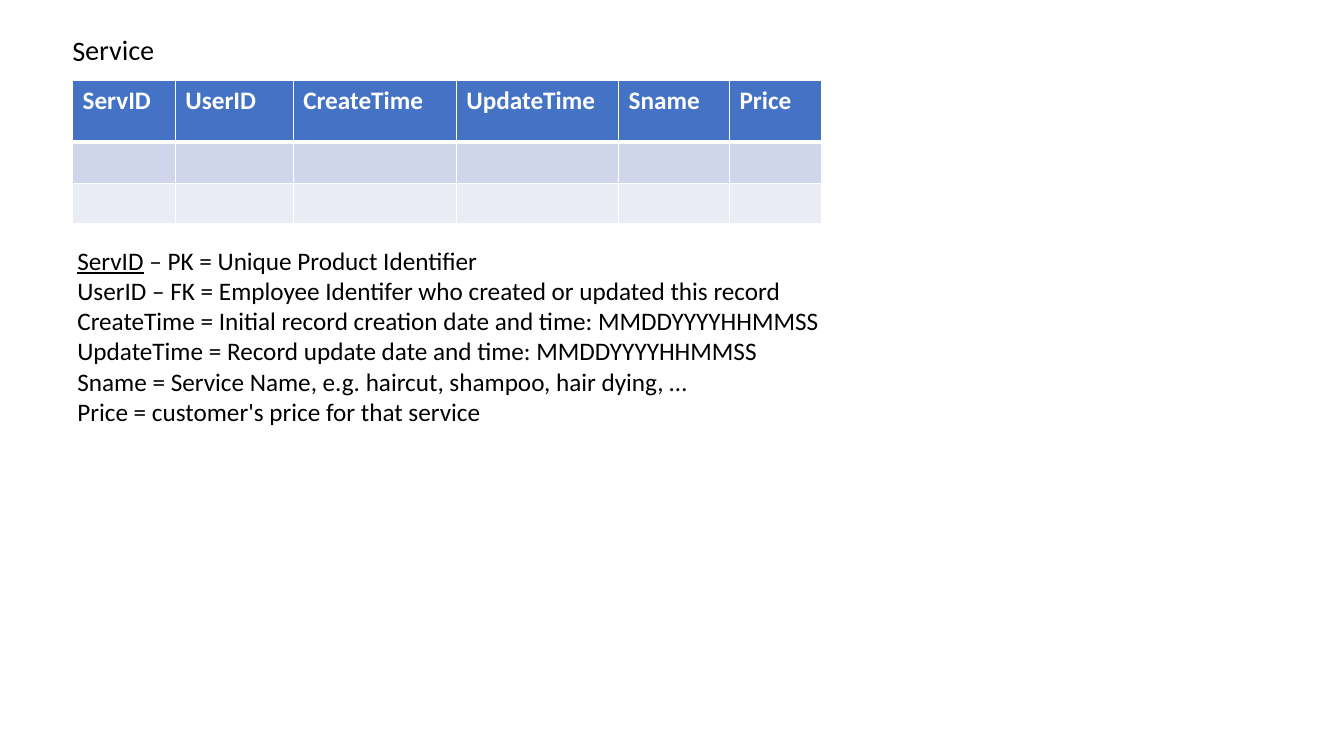
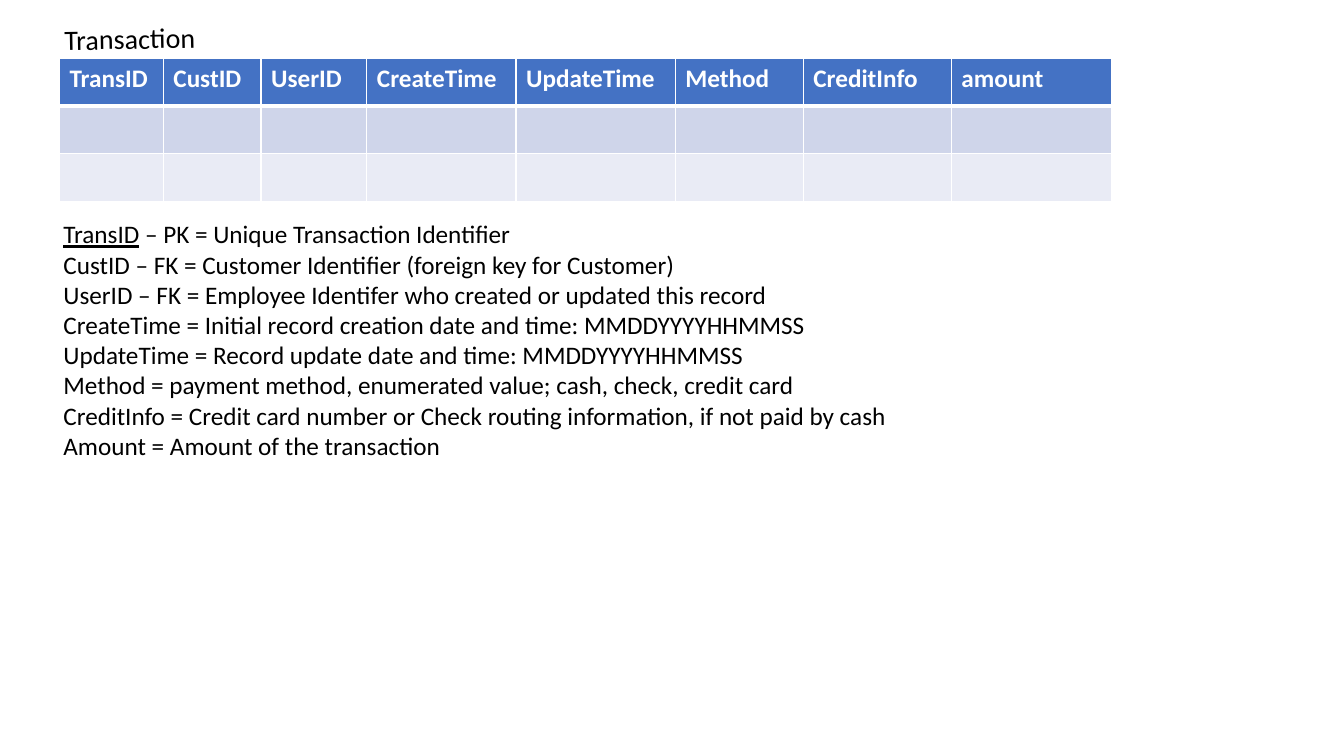
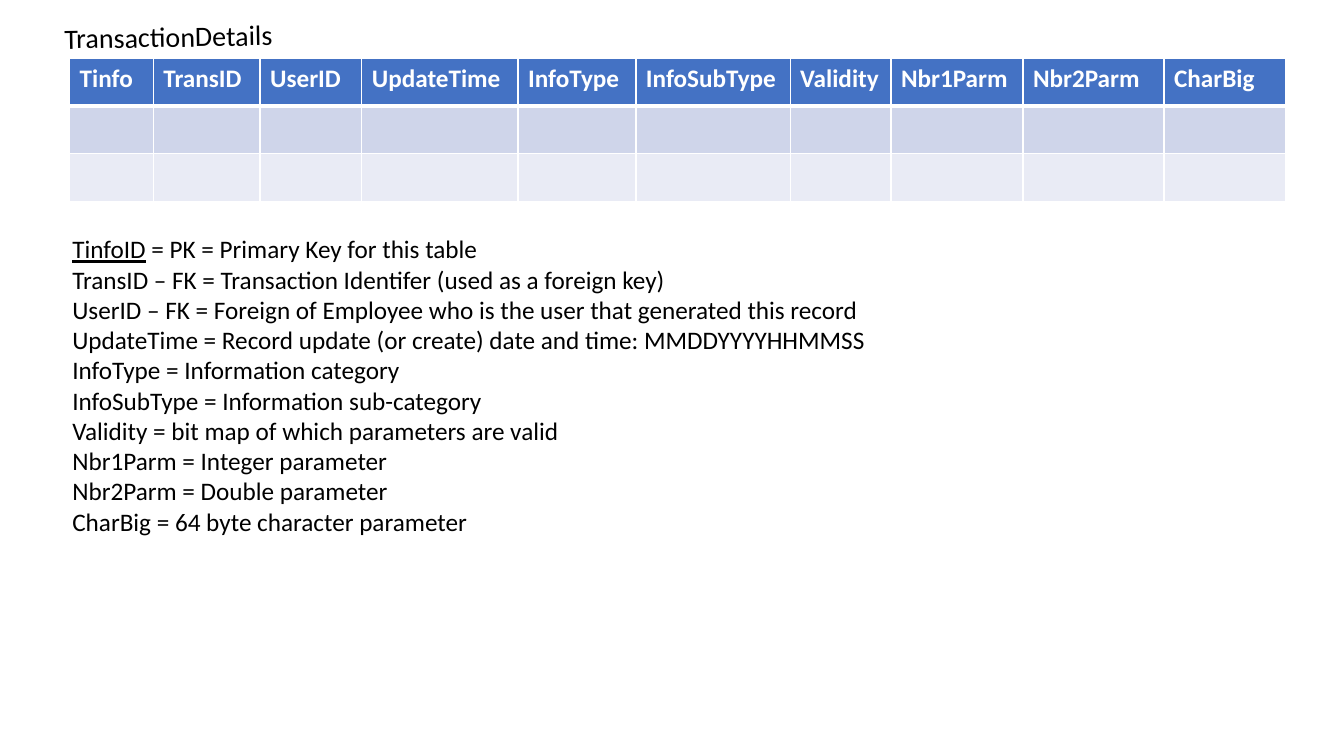
from dataclasses import dataclass
from typing import Any, NamedTuple

from lxml import etree
from pptx import Presentation
from pptx import slide as sl
from pptx import table as tb
from pptx.dml import color
from pptx.enum import text
from pptx.oxml import ns
from pptx.util import Pt


@dataclass(frozen=True)
class Theme:
    face: str = "Calibri"
    ink: str = "000000"
    paper: str = "FFFFFF"
    header: str = "4472C4"
    bands: tuple[str, str] = ("CFD5EA", "E9EBF5")
    title_size: float = 20
    body_size: float = 18
    title_height: float = 31.5
    title_tilt: float = 359
    grid: float = 1
    header_rule: float = 3


class Box(NamedTuple):
    left: float
    top: float
    width: float
    height: float


class Column(NamedTuple):
    heading: str
    width: float


@dataclass(frozen=True)
class Entity:
    name: str
    name_box: Box
    meanings_box: Box
    grid_corner: tuple[float, float]
    row_heights: tuple[float, float, float]
    columns: list[Column]
    key: str
    key_meaning: str
    meanings: list[str]


THEME = Theme()
EDITOR = "UserID – FK = Employee Identifer who created or updated this record"
CREATED = "CreateTime = Initial record creation date and time: MMDDYYYYHHMMSS"
UPDATED = "UpdateTime = Record update date and time: MMDDYYYYHHMMSS"

ENTITIES = [
    Entity(
        "Service",
        Box(44.6, 19.4, 100.8, THEME.title_height),
        Box(48.2, 171.4, 620, 138.2),
        (51.84, 57.6),
        (44, 29.2, 29.2),
        [
            Column("ServID", 73.4),
            Column("UserID", 84.2),
            Column("CreateTime", 116.6),
            Column("UpdateTime", 115.9),
            Column("Sname", 79.2),
            Column("Price", 65.5),
        ],
        "ServID",
        " – PK = Unique Product Identifier",
        [
            EDITOR,
            CREATED,
            UPDATED,
            "Sname = Service Name, e.g. haircut, shampoo, hair dying, …",
            "Price = customer's price for that service",
        ],
    ),
    Entity(
        "Transaction",
        Box(38.9, 11.5, 129.6, THEME.title_height),
        Box(38.2, 152.6, 749.5, 181.4),
        (42.5, 41.8),
        (34, 34, 34),
        [
            Column("TransID", 74.2),
            Column("CustID", 69.8),
            Column("UserID", 75.6),
            Column("CreateTime", 106.6),
            Column("UpdateTime", 113.8),
            Column("Method", 91.4),
            Column("CreditInfo", 105.8),
            Column("amount", 114.5),
        ],
        "TransID",
        " – PK = Unique Transaction Identifier",
        [
            "CustID – FK = Customer Identifier (foreign key for Customer)",
            EDITOR,
            CREATED,
            UPDATED,
            "Method = payment method, enumerated value; cash, check, credit card",
            "CreditInfo = Credit card number or Check routing information, if not paid by cash",
            "Amount = Amount of the transaction",
        ],
    ),
    Entity(
        "TransactionDetails",
        Box(38.9, 10.1, 177.8, THEME.title_height),
        Box(44.6, 163.4, 837.4, 225.4),
        (49.7, 41.8),
        (34, 34, 34),
        [
            Column("Tinfo", 59.8),
            Column("TransID", 76.3),
            Column("UserID", 72.7),
            Column("UpdateTime", 111.6),
            Column("InfoType", 84.2),
            Column("InfoSubType", 110.2),
            Column("Validity", 72),
            Column("Nbr1Parm", 94.3),
            Column("Nbr2Parm", 100.8),
            Column("CharBig", 87.1),
        ],
        "TinfoID",
        " = PK = Primary Key for this table",
        [
            "TransID – FK = Transaction Identifer (used as a foreign key)",
            "UserID – FK = Foreign of Employee who is the user that generated this record",
            "UpdateTime = Record update (or create) date and time: MMDDYYYYHHMMSS",
            "InfoType = Information category",
            "InfoSubType = Information sub-category",
            "Validity = bit map of which parameters are valid",
            "Nbr1Parm = Integer parameter",
            "Nbr2Parm = Double parameter",
            "CharBig = 64 byte character parameter",
        ],
    ),
]

TITLE = {"size": Pt(THEME.title_size)}
BODY = {"size": Pt(THEME.body_size)}
KEY = BODY | {"underline": True}
HEADING = BODY | {"bold": True}
WRAPPED = {"word_wrap": True, "auto_size": text.MSO_AUTO_SIZE.SHAPE_TO_FIT_TEXT}


def apply(target: Any, values: dict[str, Any]) -> None:
    for attribute, value in values.items():
        setattr(target, attribute, value)


def add_words(paragraph: Any, words: str, style: dict[str, Any], ink: str = THEME.ink) -> None:
    run = paragraph.add_run()
    run.text = words
    apply(run.font, {"name": THEME.face} | style)
    run.font.color.rgb = color.RGBColor.from_string(ink)


def add_lines(
    slide: sl.Slide,
    box: Box,
    lines: list[list[tuple[str, dict[str, Any]]]],
    tilt: float = 0,
) -> None:
    area = slide.shapes.add_textbox(*map(Pt, box))
    area.rotation = tilt
    apply(area.text_frame, WRAPPED)
    for index, line in enumerate(lines):
        paragraph = area.text_frame.add_paragraph() if index else area.text_frame.paragraphs[0]
        for words, style in line:
            add_words(paragraph, words, style)


def paint_cell(cell: tb._Cell, fill: str, top: float, bottom: float) -> None:
    cell.fill.solid()
    cell.fill.fore_color.rgb = color.RGBColor.from_string(fill)
    properties = cell._tc.get_or_add_tcPr()
    edges = {"L": THEME.grid, "R": THEME.grid, "T": top, "B": bottom}
    for index, (side, weight) in enumerate(edges.items()):
        edge = etree.Element(ns.qn(f"a:ln{side}"), w=str(Pt(weight)))
        solid = etree.SubElement(edge, ns.qn("a:solidFill"))
        etree.SubElement(solid, ns.qn("a:srgbClr"), val=THEME.paper)
        properties.insert(index, edge)


def add_record_grid(slide: sl.Slide, entity: Entity) -> None:
    fills = (THEME.header, *THEME.bands)
    rules = (THEME.grid, THEME.header_rule, THEME.grid, THEME.grid)
    width = sum(column.width for column in entity.columns)
    size = (width, sum(entity.row_heights))
    grid = slide.shapes.add_table(
        len(fills), len(entity.columns), *map(Pt, entity.grid_corner + size)
    ).table
    for row, height in zip(grid.rows, entity.row_heights):
        row.height = Pt(height)
    for index, column in enumerate(entity.columns):
        grid.columns[index].width = Pt(column.width)
        heading = grid.cell(0, index).text_frame.paragraphs[0]
        add_words(heading, column.heading, HEADING, THEME.paper)
        for level, fill in enumerate(fills):
            paint_cell(grid.cell(level, index), fill, rules[level], rules[level + 1])


def add_entity(slide: sl.Slide, entity: Entity) -> None:
    add_lines(slide, entity.name_box, [[(entity.name, TITLE)]], THEME.title_tilt)
    key_line = [(entity.key, KEY), (entity.key_meaning, BODY)]
    meanings = [[(meaning, BODY)] for meaning in entity.meanings]
    add_lines(slide, entity.meanings_box, [key_line, *meanings])
    add_record_grid(slide, entity)


deck = Presentation()
apply(deck, {"slide_width": Pt(960), "slide_height": Pt(540)})
blank = deck.slide_layouts[6]
for entity in ENTITIES:
    add_entity(deck.slides.add_slide(blank), entity)
deck.save("out.pptx")
